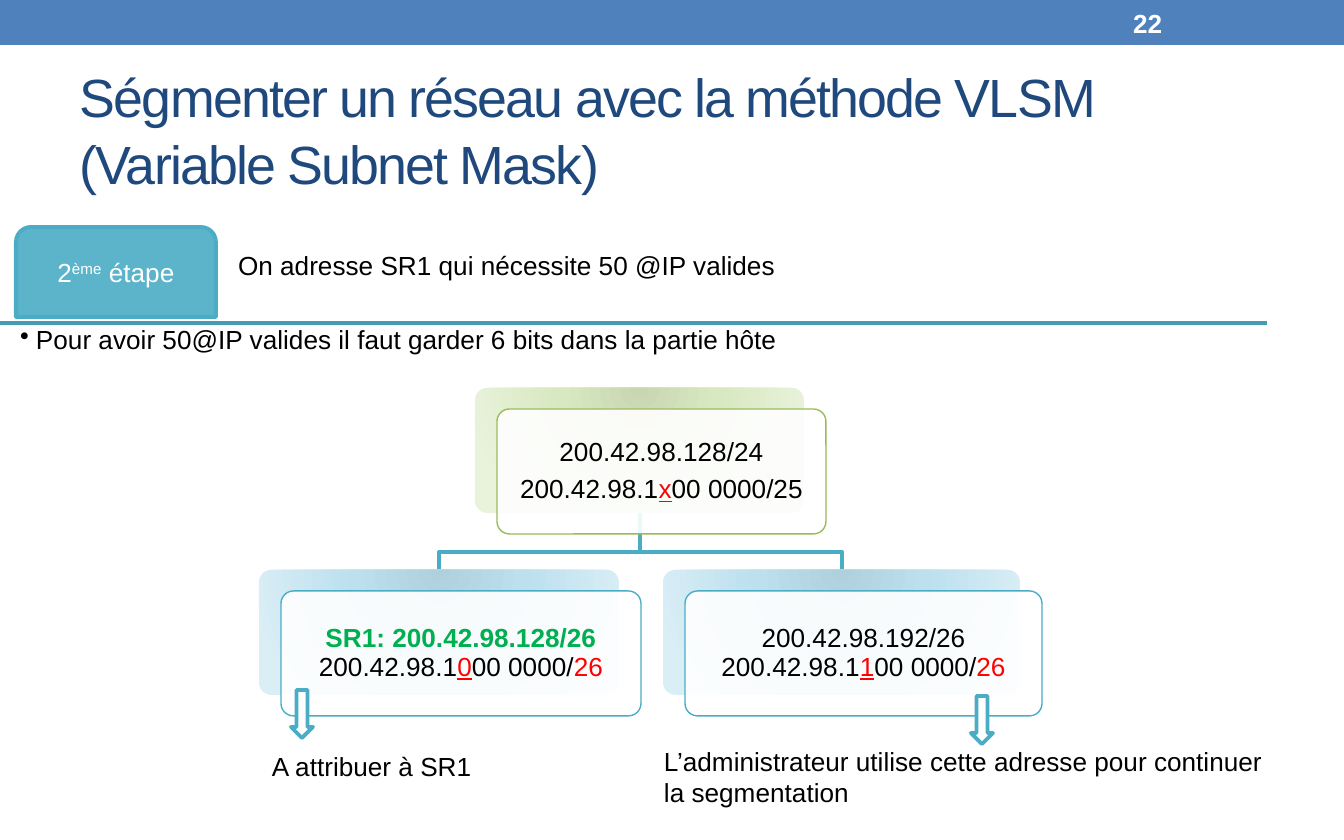
from lxml import etree
from pptx import Presentation, util as u
from pptx.dml.color import RGBColor
from pptx.enum import shapes, text
from pptx.oxml import parse_xml
from pptx.oxml.ns import nsdecls, qn

PX = 9144000 / 1344
FONT = "Arial"
BLACK, WHITE = RGBColor(0, 0, 0), RGBColor(255, 255, 255)
BLUE, NAVY = RGBColor(0x4F, 0x81, 0xBD), RGBColor(0x1F, 0x49, 0x7D)
TEAL, DARK_TEAL = RGBColor(0x4B, 0xAC, 0xC6), RGBColor(0x44, 0x9C, 0xB4)
GREEN, LIME = RGBColor(0, 0xB0, 0x50), RGBColor(0x9B, 0xBB, 0x59)
RED = RGBColor(255, 0, 0)
GREEN_GLOW = ("C8D7B2", "D8E8C0", "E9F3DC")
BLUE_GLOW = ("AFD0DD", "BCE0EE", "DAEEF6")

# Content: a paragraph is a list of (text, format) spans
TITLE = [[("Ségmenter un réseau avec la méthode VLSM\v(Variable Subnet Mask)",
           {"size": 28.8, "color": NAVY, "spacing": -100})]]
PAGE_NUMBER = [[("22", {"color": WHITE, "bold": True})]]
STEP = [[("2", {"color": WHITE}), ("ème", {"color": WHITE, "raised": True}),
         (" étape", {"color": WHITE})]]
GOAL = [[("On adresse SR1 qui nécessite 50 @IP valides", {})]]
RULE = [[("Pour avoir 50@IP valides il faut garder 6 bits dans la partie hôte", {})]]
MARK = {"color": RED, "underline": True}
# Cards: left, top, width of the back plate, line, glow, paragraphs
CARDS = [
    (475, 388, 329, LIME, GREEN_GLOW,
     [[("200.42.98.128/24", {})],
      [("200.42.98.1", {}), ("x", MARK), ("00 0000/25", {})]]),
    (259, 570, 360, TEAL, BLUE_GLOW,
     [[("SR1: 200.42.98.128/26", {"color": GREEN, "bold": True}),
       (" 200.42.98.1", {}), ("0", MARK), ("00 0000/", {}), ("26", {"color": RED})]]),
    (663, 570, 357, TEAL, BLUE_GLOW,
     [[("200.42.98.192/26 200.42.98.1", {}), ("1", MARK), ("00 0000/", {}),
       ("26", {"color": RED})]]),
]
CARD_HEIGHT, CARD_SHIFT = 125, (22, 21)
NOTES = [
    (259, 743, 227, 46, "A attribuer à SR1"),
    (651, 738, 634, 77, "L’administrateur utilise cette adresse pour continuer la segmentation"),
]
ARROWS = [(291, 690), (971, 696)]

deck = Presentation()
deck.slide_width, deck.slide_height = u.Inches(10), u.Inches(6.25)
page = deck.slides.add_slide(deck.slide_layouts[6])


def px(*values):
    return [u.Emu(round(value * PX)) for value in values]


def write(box, paragraphs, margins=(4, 4), align=text.PP_ALIGN.LEFT,
          anchor=text.MSO_ANCHOR.MIDDLE, spacing=None, after=0):
    frame = box.text_frame
    frame.word_wrap = True
    frame.vertical_anchor = anchor
    frame.margin_left, frame.margin_top = px(*margins)
    frame.margin_right, frame.margin_bottom = px(*margins)
    for index, spans in enumerate(paragraphs):
        para = frame.add_paragraph() if index else frame.paragraphs[0]
        para.alignment, para.space_after = align, u.Pt(after)
        if spacing:
            para.line_spacing = spacing
        for words, style in spans:
            for part, line in enumerate(words.split("\v")):
                if part:
                    para.add_line_break()
                span = para.add_run()
                span.text = line
                font = span.font
                font.name, font.size = FONT, u.Pt(style.get("size", 14))
                font.bold = style.get("bold", False)
                font.underline = style.get("underline", False)
                font.color.rgb = style.get("color", BLACK)
                props = span._r.get_or_add_rPr()
                if "spacing" in style:
                    props.set("spc", str(style["spacing"]))
                if "raised" in style:
                    props.set("baseline", "30000")
    return box


def add_text(place, paragraphs, **options):
    return write(page.shapes.add_textbox(*px(*place)), paragraphs, **options)


def add_shape(kind, place, fill=None, line=None, width=2.08, alpha=None):
    shape = page.shapes.add_shape(kind, *px(*place))
    shape.shadow.inherit = False
    if fill is not None:
        shape.fill.solid()
        shape.fill.fore_color.rgb = fill
    if alpha:
        color = shape._element.spPr.find(qn("a:solidFill"))[0]
        etree.SubElement(color, qn("a:alpha")).set("val", str(alpha * 1000))
    if line is None:
        shape.line.fill.background()
    else:
        shape.line.color.rgb, shape.line.width = line, u.Pt(width)
    return shape


def add_glow(shape, colors):
    stops = "".join(f'<a:gs pos="{pos}"><a:srgbClr val="{color}"/></a:gs>'
                    for pos, color in zip((0, 45000, 100000), colors))
    glow = parse_xml(
        f'<a:gradFill {nsdecls("a")} rotWithShape="1"><a:gsLst>{stops}</a:gsLst>'
        '<a:path path="circle"><a:fillToRect l="50000" t="-80000" r="50000" b="180000"/>'
        '</a:path></a:gradFill>')
    shape._element.spPr.find(qn("a:prstGeom")).addnext(glow)


# Header
add_shape(shapes.MSO_SHAPE.RECTANGLE, (0, 0, 1344, 45), BLUE)
add_text((67, 68, 1210, 121), TITLE, margins=(13, 0), spacing=1.04)
add_text((1120, 3, 157, 40), PAGE_NUMBER, margins=(13, 4))

# Step banner
rule = page.shapes.add_connector(shapes.MSO_CONNECTOR.STRAIGHT, *px(0, 323, 1267, 323))
rule.line.color.rgb, rule.line.width = DARK_TEAL, u.Pt(2.08)
etree.SubElement(rule._element.spPr, qn("a:effectLst"))
add_text((227, 238, 1016, 47), GOAL, margins=(11, 4), spacing=0.9,
         anchor=text.MSO_ANCHOR.BOTTOM)
tab = add_shape(shapes.MSO_SHAPE.ROUND_2_SAME_RECTANGLE, (16, 227, 200, 90), TEAL, TEAL, alpha=90)
write(tab, STEP, align=text.PP_ALIGN.CENTER, spacing=0.9)

bullet = add_text((16, 323, 1270, 245), RULE, spacing=0.9, anchor=text.MSO_ANCHOR.TOP)
props = bullet.text_frame.paragraphs[0]._p.get_or_add_pPr()
indent = px(16)[0]
props.set("marL", str(indent))
props.set("indent", str(-indent))
etree.SubElement(props, qn("a:buChar")).set("char", "•")

# Branches from the root card to its children
root, *children = [(left + width / 2, top) for left, top, width, *_ in CARDS]
for x, top in children:
    start = root[1] + CARD_HEIGHT
    builder = page.shapes.build_freeform(round(root[0]), start, scale=PX)
    builder.add_line_segments([(round(root[0]), 552), (round(x), 552), (round(x), top)],
                              close=False)
    branch = builder.convert_to_shape()
    branch.shadow.inherit = False
    branch.fill.background()
    branch.line.color.rgb, branch.line.width = TEAL, u.Pt(2.08)

# Address cards
for left, top, width, line, glow, paragraphs in CARDS:
    plate = add_shape(shapes.MSO_SHAPE.ROUNDED_RECTANGLE, (left, top, width, CARD_HEIGHT))
    add_glow(plate, glow)
    card = add_shape(shapes.MSO_SHAPE.ROUNDED_RECTANGLE,
                     (left + CARD_SHIFT[0], top + CARD_SHIFT[1], width, CARD_HEIGHT),
                     WHITE, line, 0.75, 90)
    plate.adjustments[0] = card.adjustments[0] = 0.1
    write(card, paragraphs, margins=(8, 8), align=text.PP_ALIGN.CENTER, spacing=0.9, after=5)

# Notes and arrows
for *place, words in NOTES:
    add_text(place, [[(words, {})]], margins=(13, 7), anchor=text.MSO_ANCHOR.TOP)
for left, top in ARROWS:
    add_shape(shapes.MSO_SHAPE.DOWN_ARROW, (left, top, 22, 48), WHITE, TEAL)

deck.save("out.pptx")
